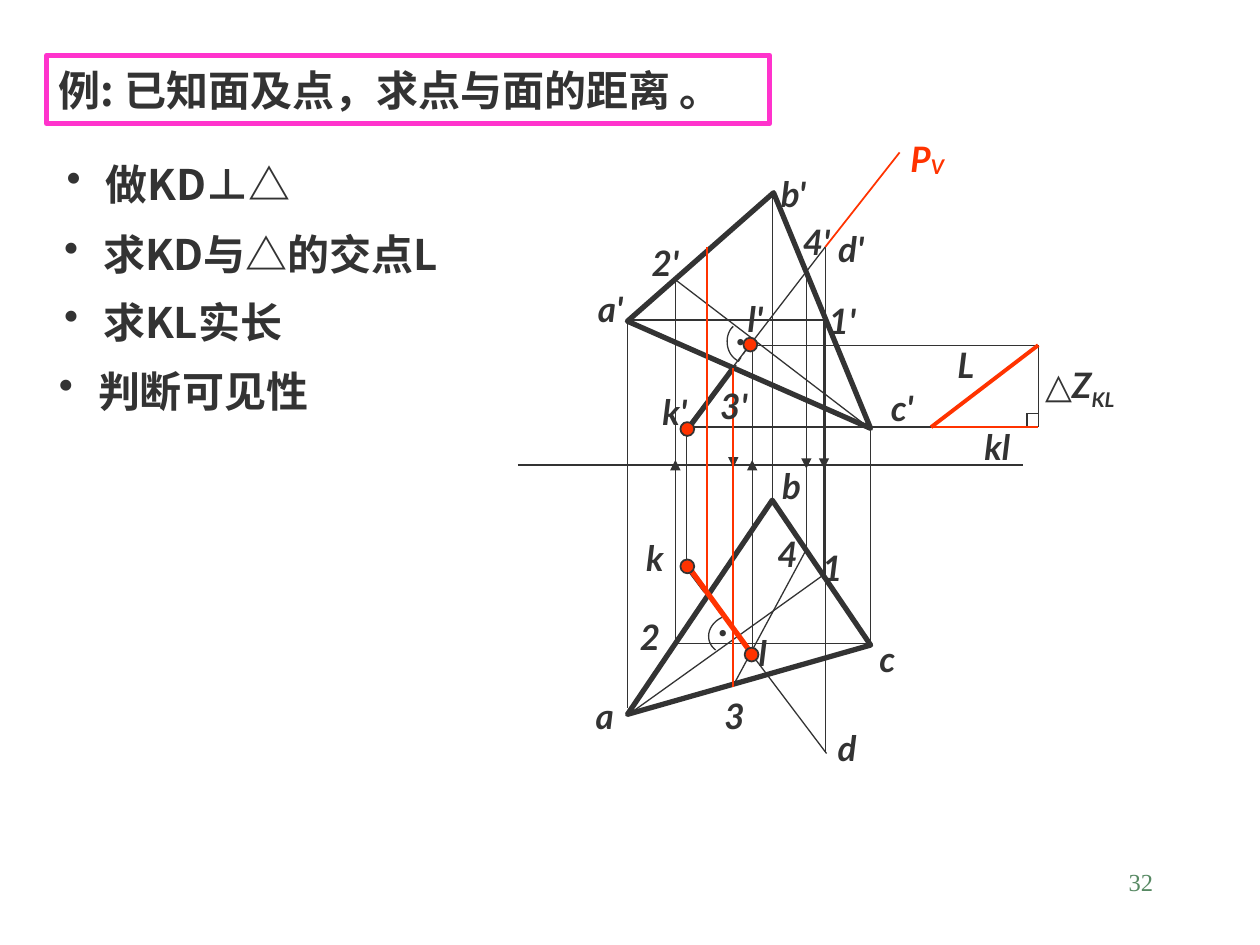
from dataclasses import dataclass

from pptx import Presentation
from pptx.dml.color import RGBColor
from pptx.enum.dml import MSO_LINE
from pptx.enum.shapes import MSO_CONNECTOR, MSO_SHAPE
from pptx.enum.text import MSO_ANCHOR, PP_ALIGN
from pptx.oxml.ns import qn
from pptx.oxml.xmlchemy import OxmlElement
from pptx.slide import Slide
from pptx.util import Pt

SCALE = 9144


def color(value):
    return RGBColor.from_string(value)


def emu(*lengths):
    return [round(length * SCALE) for length in lengths]


@dataclass
class Drawing:
    """Style and current slide for a descriptive geometry figure."""

    page: Slide
    ink: str = "333333"
    red: str = "FF3300"
    pink: str = "FF33CC"
    green: str = "578963"
    paper: str = "FFFFFF"
    latin: str = "Lato"
    chinese: str = "Noto Sans CJK SC"
    serif: str = "Times New Roman"

    def stroke(self, shape, tint, weight):
        shape.line.color.rgb = color(tint)
        shape.line.width = Pt(weight)

    def line(self, x1, y1, x2, y2, tint=None, weight=0.75, arrow=False, dash=False):
        connector = self.page.shapes.add_connector(MSO_CONNECTOR.STRAIGHT, *emu(x1, y1, x2, y2))
        self.stroke(connector, tint or self.ink, weight)
        if dash:
            connector.line.dash_style = MSO_LINE.DASH
        properties = connector._element.spPr
        if arrow:
            head = OxmlElement("a:tailEnd")
            head.set("type", "triangle")
            properties.find(qn("a:ln")).append(head)
        properties.append(OxmlElement("a:effectLst"))

    def outline(self, points, weight, close):
        corners = [emu(*point) for point in points]
        builder = self.page.shapes.build_freeform(*corners[0], scale=1.0)
        builder.add_line_segments(corners[1:], close=close)
        shape = builder.convert_to_shape()
        shape.shadow.inherit = False
        shape.fill.background()
        self.stroke(shape, self.ink, weight)

    def curve(self, controls, steps=16):
        points = []
        for step in range(steps + 1):
            t = step / steps
            weights = ((1 - t) ** 3, 3 * t * (1 - t) ** 2, 3 * t * t * (1 - t), t ** 3)
            points.append([sum(w * p[axis] for w, p in zip(weights, controls)) for axis in (0, 1)])
        return points

    def solid(self, kind, at, fill, tint, weight):
        shape = self.page.shapes.add_shape(kind, *emu(*at))
        shape.shadow.inherit = False
        shape.fill.solid()
        shape.fill.fore_color.rgb = color(fill)
        self.stroke(shape, tint, weight)
        return shape

    def dot(self, x, y):
        self.solid(MSO_SHAPE.FLOWCHART_CONNECTOR, (x, y, 11, 11), self.red, self.ink, 1)

    def span(self, para, text, size, face, tint, bold=True, italic=False, baseline=0):
        span = para.add_run()
        span.text = text
        span.font.size = Pt(size)
        span.font.name = face
        span.font.bold = bold
        span.font.italic = italic
        span.font.color.rgb = color(tint)
        properties = span.font._element
        east = OxmlElement("a:ea")
        east.set("typeface", face)
        properties.append(east)
        if baseline:
            properties.set("baseline", str(baseline * 1000))

    def paragraph(self, shape, align=PP_ALIGN.LEFT, anchor=MSO_ANCHOR.MIDDLE, wrap=True):
        frame = shape.text_frame
        frame.word_wrap = wrap
        frame.vertical_anchor = anchor
        para = frame.paragraphs[0]
        para.alignment = align
        return para

    def box(self, at, **layout):
        return self.paragraph(self.page.shapes.add_textbox(*emu(*at)), **layout)

    def label(self, text, x, y, width, align=PP_ALIGN.CENTER, sub="", drop=0, tint=None):
        para = self.box((x, y, width, 43), align=align, wrap=width > 41)
        self.span(para, text, 20, self.latin, tint or self.ink, italic=True)
        if sub:
            self.span(para, sub, 20, self.latin, tint or self.ink, italic=True, baseline=drop)

    def right_angle(self, controls, x, y):
        self.outline(self.curve(controls), 0.75, close=False)
        para = self.box((x, y, 27, 50), align=PP_ALIGN.CENTER, wrap=False)
        self.span(para, ".", 24, self.latin, self.ink)

    def title(self, text, at):
        shape = self.solid(MSO_SHAPE.RECTANGLE, at, self.paper, self.pink, 3)
        self.span(self.paragraph(shape), text, 24, self.chinese, self.ink)

    def bullet(self, text, x, y):
        para = self.box((x, y, 1000 - x, 50))
        properties = para._p.get_or_add_pPr()
        indent, = emu(31)
        properties.set("marL", str(indent))
        properties.set("indent", str(-indent))
        mark = OxmlElement("a:buChar")
        mark.set("char", "•")
        properties.append(mark)
        self.span(para, text, 24, self.chinese, self.ink)

    def number(self, text, at):
        para = self.box(at, align=PP_ALIGN.RIGHT, anchor=MSO_ANCHOR.TOP)
        self.span(para, text, 14, self.serif, self.green, bold=False)


THIN = [
    (545, 339, 655, 196), (545, 451, 656, 598), (498, 256, 498, 562), (691, 341, 691, 511),
    (411, 369, 812, 369), (545, 339, 545, 450), (613, 154, 613, 178), (613, 375, 613, 397),
    (499, 254, 657, 254), (654, 369, 654, 459), (499, 567, 654, 456), (691, 511, 536, 511),
    (536, 369, 536, 222), (536, 222, 689, 339), (655, 597, 655, 557), (655, 196, 655, 223),
    (582, 293, 582, 300), (582, 369, 582, 544), (640, 371, 640, 439), (640, 436, 582, 544),
    (597, 368, 597, 273), (824, 274, 824, 339), (595, 274, 823, 274), (545, 339, 823, 339),
    (824, 328, 814, 328), (815, 328, 815, 339), (613, 176, 613, 376), (655, 559, 655, 218),
]
ARROWS = [
    (654, 253, 654, 372), (536, 511, 536, 365), (582, 343, 582, 371),
    (640, 217, 640, 372), (597, 519, 597, 365),
]
DASHED = [(561, 471, 596, 518), (582, 293, 595, 273)]
THICK = [(545, 449, 560, 469), (547, 339, 582, 292)]
RED = [
    (655, 196, 714, 121, 1), (561, 473, 561, 196, 1), (582, 292, 582, 545, 1),
    (545, 448, 596, 518, 3), (739, 339, 824, 339, 0.75), (739, 339, 824, 274, 2.25),
]
TRIANGLES = [
    [(498, 255), (614, 153), (691, 340)],
    [(498, 567), (691, 512), (613, 397)],
]
LABELS = [
    ("a'", 443, 223, 83), ("c'", 679, 302, 74), ("a", 463, 546, 33), ("b", 611, 364, 33),
    ("c", 688, 501, 31), ("k", 503, 421, 33), ("d", 655, 572, 33), ("d'", 640, 176, 71),
    ("l'", 559, 231, 81), ("l", 586, 496, 39), ("L", 750, 268, 33), ("kl", 771, 333, 41),
    ("1'", 628, 233, 81), ("1", 636, 429, 49), ("2", 488, 484, 56), ("2'", 489, 187, 78),
    ("3'", 548, 300, 69), ("3", 552, 546, 62), ("4", 597, 418, 56), ("4'", 617, 170, 62),
    ("b'", 610, 132, 77, PP_ALIGN.LEFT), ("k'", 516, 305, 40, PP_ALIGN.LEFT),
]
STEPS = [
    ("做KD⊥△", 43, 121), ("求KD与△的交点L", 41, 176),
    ("求KL实长", 41, 230), ("判断可见性", 37, 285),
]


def main():
    deck = Presentation()
    deck.slide_width, deck.slide_height = emu(1000, 750)
    drawing = Drawing(deck.slides.add_slide(deck.slide_layouts[6]))
    drawing.number("32", (717, 683, 208, 50))
    for ends in THIN:
        drawing.line(*ends)
    for ends in ARROWS:
        drawing.line(*ends, arrow=True)
    for corners in TRIANGLES:
        drawing.outline(corners, 3, close=True)
    drawing.right_angle([(573, 490), (561, 496), (559, 509), (568, 516)], 560, 467)
    drawing.right_angle([(582, 259), (575, 265), (575, 280), (585, 286)], 574, 236)
    for ends in THICK:
        drawing.line(*ends, weight=3)
    for ends in DASHED:
        drawing.line(*ends, dash=True)
    for *ends, weight in RED:
        drawing.line(*ends, tint=drawing.red, weight=weight)
    for x, y in [(590, 268), (540, 335), (540, 444), (591, 514)]:
        drawing.dot(x, y)
    for label in LABELS:
        drawing.label(*label)
    drawing.label("P", 696, 104, 80, sub="V", drop=-8, tint=drawing.red)
    drawing.label("△Z", 805, 286, 104, sub="KL", drop=-25)
    drawing.title("例: 已知面及点，求点与面的距离 。", (37, 44, 574, 54))
    for step in STEPS:
        drawing.bullet(*step)
    deck.save("out.pptx")


if __name__ == "__main__":
    main()
